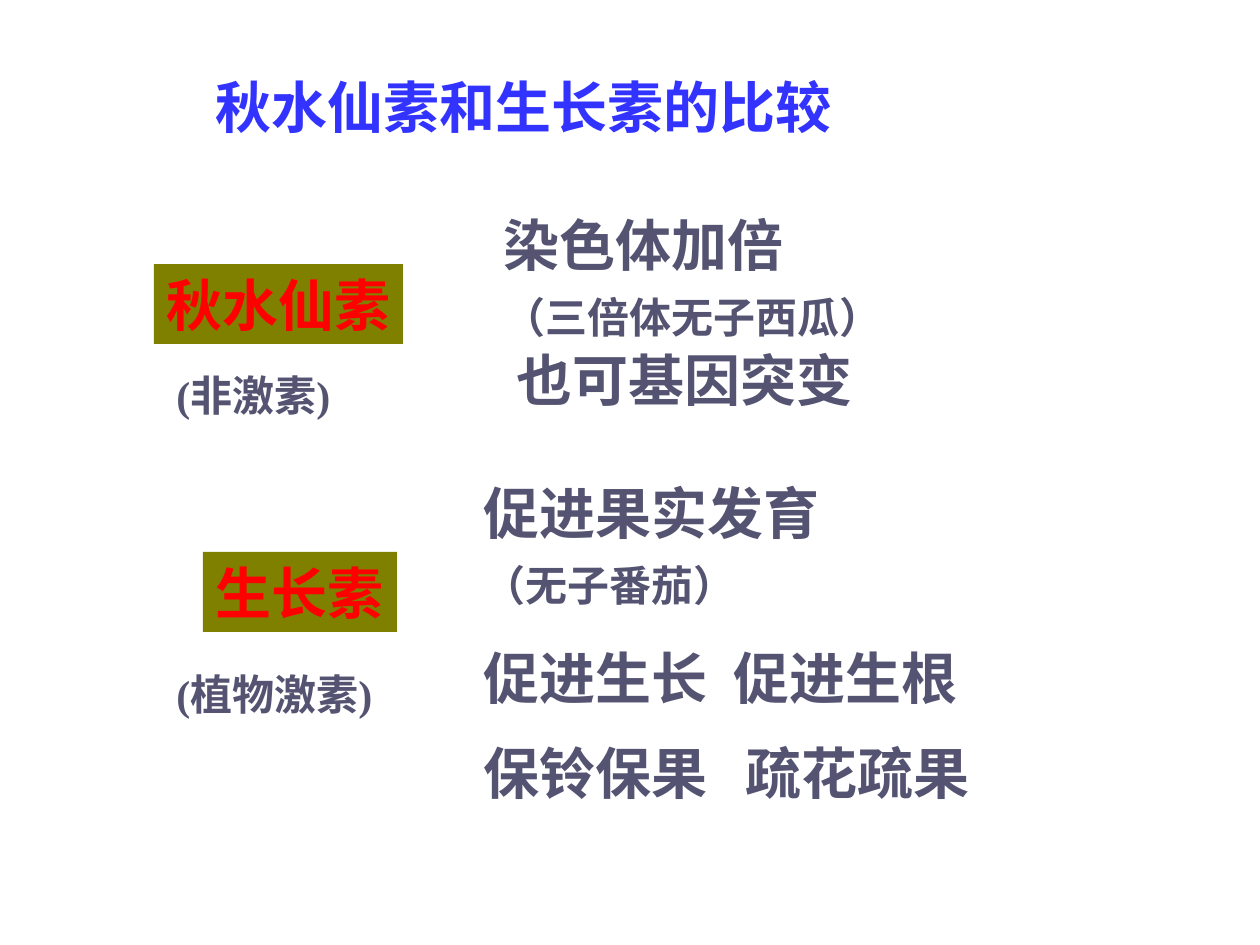
"""Build the slide comparing colchicine and auxin."""
from lxml import etree
from pptx import Presentation
from pptx import util as u
from pptx.dml.color import RGBColor
from pptx.enum import shapes, text
from pptx.oxml.ns import qn

PX = 914400 // 126
FONT = "Times New Roman"
BLUE = RGBColor(0x33, 0x33, 0xFF)
SLATE = RGBColor(0x54, 0x54, 0x72)
RED = RGBColor(0xFF, 0x00, 0x00)
OLIVE = RGBColor(0x80, 0x80, 0x00)
LARGE, SMALL = 32, 24

# Box: left, top, width, height in px; line: wording, size, space before in pt, indent px, tab px
LABELS = [
    ((154, 264, 249, 80), [("秋水仙素", LARGE, 0, 0, 0)]),
    ((203, 552, 194, 80), [("生长素", LARGE, 0, 0, 0)]),
]
TEXTS = [
    ((491, 204, 427, 217), SLATE, [
        ("染色体加倍", LARGE, 0, 0, 0),
        ("（三倍体无子西瓜）", SMALL, 8, 0, 0),
        ("也可基因突变", LARGE, 2, 13, 0),
    ]),
    ((471, 472, 533, 352), SLATE, [
        ("促进果实发育", LARGE, 0, 0, 0),
        ("（无子番茄）", SMALL, 8, 0, 0),
        ("促进生长\t促进生根", LARGE, 19, 0, 250),
        ("保铃保果\t疏花疏果", LARGE, 16, 0, 262),
    ]),
    ((203, 66, 735, 80), BLUE, [("秋水仙素和生长素的比较", LARGE, 0, 0, 0)]),
    ((164, 662, 258, 63), SLATE, [("(植物激素)", SMALL, 0, 0, 0)]),
    ((164, 363, 179, 63), SLATE, [("(非激素)", SMALL, 0, 0, 0)]),
]


def write_lines(frame, lines, color):
    for index, (wording, size, before, indent, tab) in enumerate(lines):
        paragraph = frame.paragraphs[0] if index == 0 else frame.add_paragraph()
        paragraph.text = wording
        paragraph.alignment = text.PP_ALIGN.LEFT
        if before:
            paragraph.space_before = u.Pt(before)
        properties = paragraph._p.get_or_add_pPr()
        if indent:
            properties.set("marL", str(indent * PX))
        if tab:
            tabs = etree.SubElement(properties, qn("a:tabLst"))
            etree.SubElement(tabs, qn("a:tab"), pos=str(tab * PX), algn="l")
        for run in paragraph.runs:
            run.font.name = FONT
            run.font.size = u.Pt(size)
            run.font.bold = True
            run.font.color.rgb = color


def scale(box):
    return [length * PX for length in box]


def main():
    presentation = Presentation()
    presentation.slide_width, presentation.slide_height = scale((1260, 945))
    slide = presentation.slides.add_slide(presentation.slide_layouts[6])

    for box, lines in LABELS:
        shape = slide.shapes.add_shape(shapes.MSO_SHAPE.RECTANGLE, *scale(box))
        shape.shadow.inherit = False
        shape.fill.solid()
        shape.fill.fore_color.rgb = OLIVE
        shape.line.fill.background()
        shape.text_frame.word_wrap = False
        shape.text_frame.vertical_anchor = text.MSO_ANCHOR.TOP
        write_lines(shape.text_frame, lines, RED)

    for box, color, lines in TEXTS:
        frame = slide.shapes.add_textbox(*scale(box)).text_frame
        frame.word_wrap = True
        write_lines(frame, lines, color)

    presentation.save("out.pptx")


if __name__ == "__main__":
    main()
